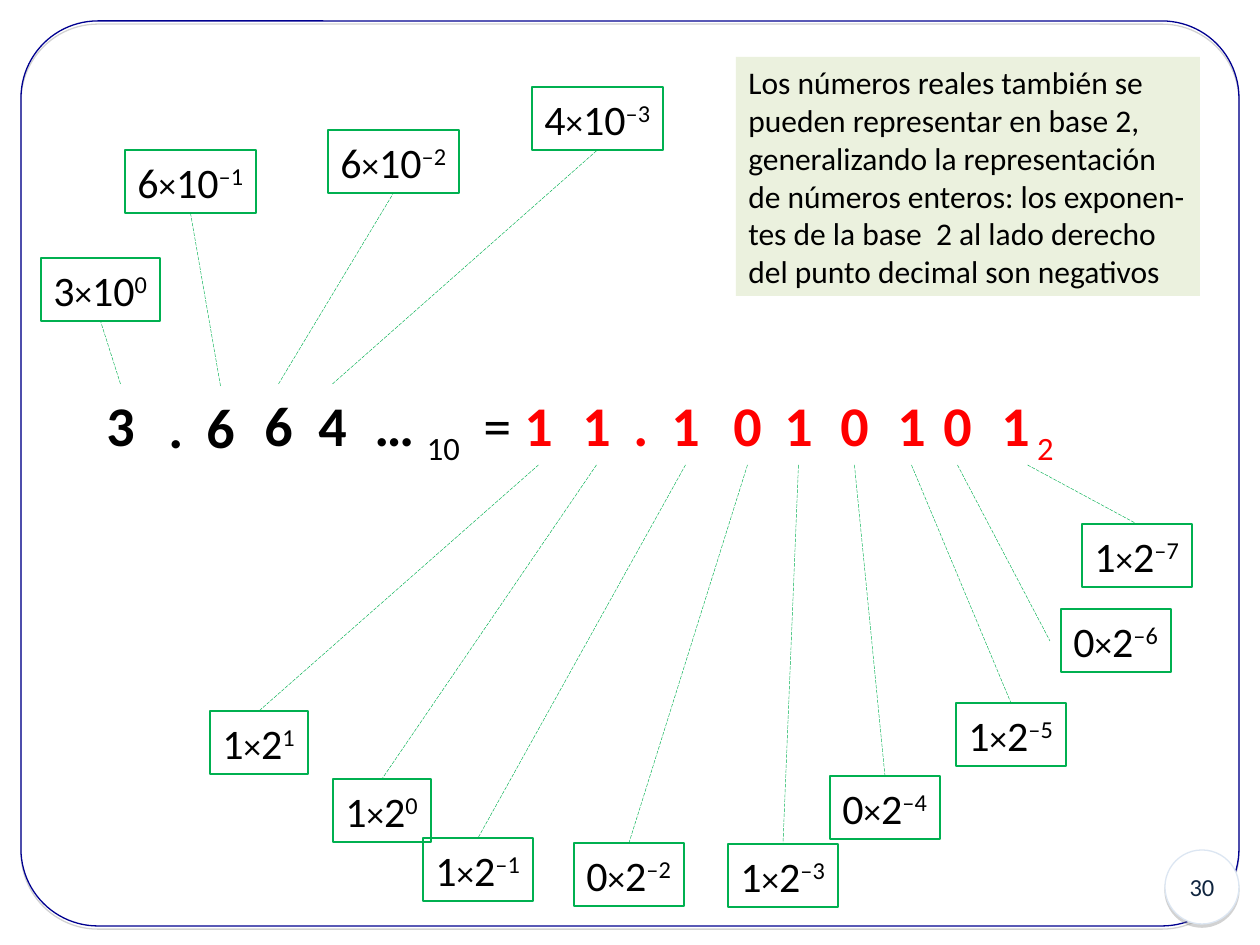
from dataclasses import dataclass
from typing import NamedTuple, Optional

from lxml.etree import SubElement
from pptx import Presentation
from pptx.dml.color import RGBColor
from pptx.enum.dml import MSO_LINE
from pptx.enum.shapes import MSO_CONNECTOR, MSO_SHAPE
from pptx.enum.text import MSO_ANCHOR, MSO_AUTO_SIZE, PP_ALIGN
from pptx.oxml.ns import qn
from pptx.util import Emu, Pt

EMU_PER_PX = 914400 / 126


@dataclass(frozen=True)
class Theme:
    font: str = "Calibri"
    black: str = "000000"
    red: str = "FF0000"
    green: str = "00B050"
    navy: str = "000090"
    badge_line: str = "DCE6F2"
    badge_text: str = "10253F"
    white: str = "FFFFFF"
    note_fill: str = "EBF1DE"
    shadow: str = "808080"
    digit_size: int = 32
    term_size: int = 24
    times_size: int = 20
    note_size: int = 18
    badge_size: int = 14
    outline: float = 0.75
    hairline: float = 0.25


class Term(NamedTuple):
    base: str
    exponent: str
    left: int
    top: int
    loose_end: Optional[tuple] = None


class Digit(NamedTuple):
    text: str
    left: int
    term: Optional[Term] = None
    top: int = 384
    width: int = 53
    subscript: str = ""
    bold: bool = True


THEME = Theme()
DIGIT_HEIGHT = 81
SUBSCRIPTED_HEIGHT = 89
TERM_HEIGHT = 63
TERM_RIGHT_INSET = 4

DECIMAL_DIGITS = [
    Digit("3", 94, Term("10", "0", 41, 258)),
    Digit(".", 156, top=386, width=40),
    Digit("6", 194, Term("10", "–1", 125, 150), top=386),
    Digit("6", 252, Term("10", "–2", 328, 130)),
    Digit("4", 306, Term("10", "–3", 532, 87)),
    Digit("… ", 362, width=111, subscript="10"),
    Digit("=", 471, bold=False),
]
BINARY_DIGITS = [
    Digit("1", 512, Term("2", "1", 210, 711)),
    Digit("1", 570, Term("2", "0", 333, 779)),
    Digit(".", 621, width=40),
    Digit("1", 659, Term("2", "–1", 423, 838)),
    Digit("0", 721, Term("2", "–2", 574, 843)),
    Digit("1", 772, Term("2", "–3", 728, 844)),
    Digit("0", 828, Term("2", "–4", 830, 776)),
    Digit("1", 885, Term("2", "–5", 956, 703)),
    Digit("0", 931, Term("2", "–6", 1061, 609, (1050, 641))),
    Digit("1", 989, Term("2", "–7", 1082, 524), width=77, subscript=" 2"),
]
NOTE_LINES = [
    "Los números reales también se",
    "pueden representar en base 2,",
    "generalizando la representación",
    "de números enteros: los exponen-",
    "tes de la base  2 al lado derecho",
    "del punto decimal son negativos",
]


def px(*lengths):
    return [Emu(round(length * EMU_PER_PX)) for length in lengths]


def color(value):
    return RGBColor.from_string(value)


def style_para(para, size, text_color, bold=False, align=PP_ALIGN.LEFT):
    para.alignment = align
    para.font.name = THEME.font
    para.font.size = Pt(size)
    para.font.color.rgb = color(text_color)
    para.font.bold = bold


def add_span(para, text, baseline=0):
    span = para.add_run()
    span.text = text
    if baseline:
        span.font._element.set("baseline", str(baseline * 1000))
    return span


def add_outlined(page, preset, bounds, fill=None, line=None):
    shape = page.shapes.add_shape(preset, *px(*bounds))
    shape.shadow.inherit = False
    if fill:
        shape.fill.solid()
        shape.fill.fore_color.rgb = color(fill)
    else:
        shape.fill.background()
    if line:
        shape.line.color.rgb = color(line)
        shape.line.width = Pt(THEME.outline)
    else:
        shape.line.fill.background()
    return shape


def add_shadow(shape):
    effects = shape._element.spPr.find(qn("a:effectLst"))
    shadow = SubElement(effects, qn("a:outerShdw"), blurRad="0", dist=str(Pt(1.8)),
                        dir="5400000", algn="ctr", rotWithShape="0")
    tint = SubElement(shadow, qn("a:srgbClr"), val=THEME.shadow)
    SubElement(tint, qn("a:alpha"), val="35000")


def fit_text(shape):
    frame = shape.text_frame
    frame.word_wrap = False
    frame.auto_size = MSO_AUTO_SIZE.SHAPE_TO_FIT_TEXT
    frame.vertical_anchor = MSO_ANCHOR.TOP
    return frame


def add_frame(page):
    frame = add_outlined(page, MSO_SHAPE.ROUNDED_RECTANGLE, (21, 21, 1218, 905), line=THEME.navy)
    frame.adjustments[0] = 0.085
    add_shadow(frame)


def add_badge(page, number):
    badge = add_outlined(page, MSO_SHAPE.OVAL, (1165, 850, 74, 74), THEME.white, THEME.badge_line)
    add_shadow(badge)
    badge.text_frame.word_wrap = True
    badge.text_frame.vertical_anchor = MSO_ANCHOR.MIDDLE
    para = badge.text_frame.paragraphs[0]
    style_para(para, THEME.badge_size, THEME.badge_text, align=PP_ALIGN.CENTER)
    add_span(para, number)


def add_note(page):
    note = add_outlined(page, MSO_SHAPE.RECTANGLE, (736, 57, 464, 239), THEME.note_fill)
    frame = fit_text(note)
    for index, line in enumerate(NOTE_LINES):
        para = frame.add_paragraph() if index else frame.paragraphs[0]
        style_para(para, THEME.note_size, THEME.black)
        add_span(para, line)


def add_digit(page, digit, text_color):
    height = SUBSCRIPTED_HEIGHT if digit.subscript else DIGIT_HEIGHT
    box = page.shapes.add_textbox(*px(digit.left, digit.top, digit.width, height))
    para = fit_text(box).paragraphs[0]
    style_para(para, THEME.digit_size, text_color, digit.bold)
    add_span(para, digit.text)
    if digit.subscript:
        add_span(para, digit.subscript, -25).font.bold = False
    return box


def term_width(term):
    return 98 + 21 * (term.base == "10") + 12 * term.exponent.startswith("–")


def add_term(page, digit):
    term = digit.term
    bounds = (term.left, term.top, term_width(term), TERM_HEIGHT)
    box = add_outlined(page, MSO_SHAPE.RECTANGLE, bounds, line=THEME.green)
    frame = fit_text(box)
    [frame.margin_right] = px(TERM_RIGHT_INSET)
    para = frame.paragraphs[0]
    style_para(para, THEME.term_size, THEME.black)
    add_span(para, digit.text)
    add_span(para, "×").font.size = Pt(THEME.times_size)
    add_span(para, term.base)
    add_span(para, term.exponent, 30)
    return box


def add_link(page, digit, digit_box, term_box, term_above):
    term = digit.term
    start = (digit.left + digit.width / 2, digit.top + (0 if term_above else DIGIT_HEIGHT))
    end = term.loose_end or (term.left + term_width(term) / 2,
                             term.top + (TERM_HEIGHT if term_above else 0))
    link = page.shapes.add_connector(MSO_CONNECTOR.STRAIGHT, *px(*start, *end))
    link.line.color.rgb = color(THEME.green)
    link.line.width = Pt(THEME.hairline)
    link.line.dash_style = MSO_LINE.LONG_DASH
    SubElement(link._element.spPr, qn("a:effectLst"))
    if not digit.subscript:
        link.begin_connect(digit_box, 0 if term_above else 2)
    if not term.loose_end:
        link.end_connect(term_box, 2 if term_above else 0)


def add_number(page, digits, text_color, term_above):
    for digit in digits:
        digit_box = add_digit(page, digit, text_color)
        if digit.term:
            term_box = add_term(page, digit)
            add_link(page, digit, digit_box, term_box, term_above)


def main():
    deck = Presentation()
    deck.slide_width, deck.slide_height = px(1260, 945)
    page = deck.slides.add_slide(deck.slide_layouts[6])
    add_frame(page)
    add_badge(page, "30")
    add_number(page, DECIMAL_DIGITS, THEME.black, term_above=True)
    add_number(page, BINARY_DIGITS, THEME.red, term_above=False)
    add_note(page)
    deck.save("out.pptx")


if __name__ == "__main__":
    main()
